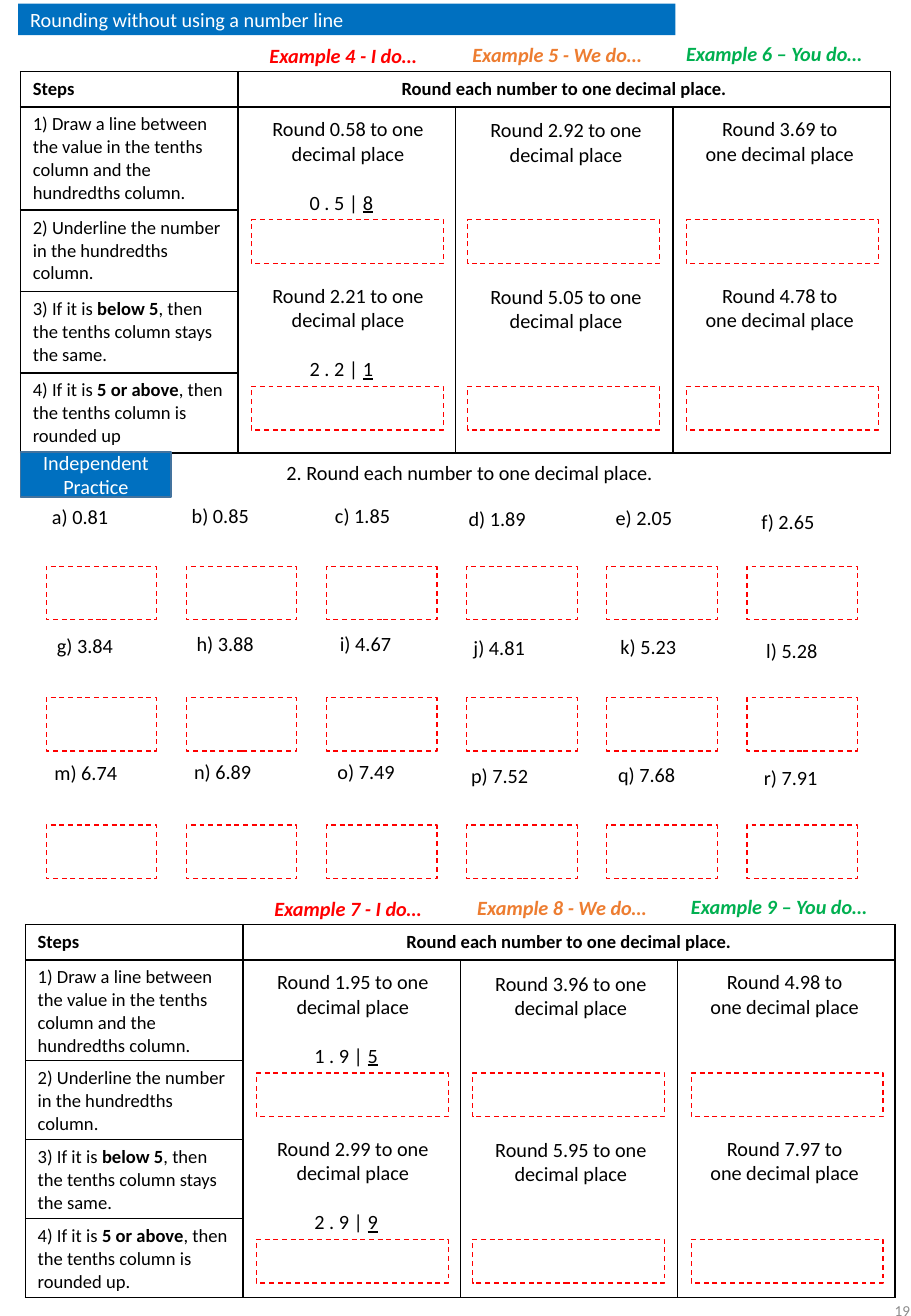
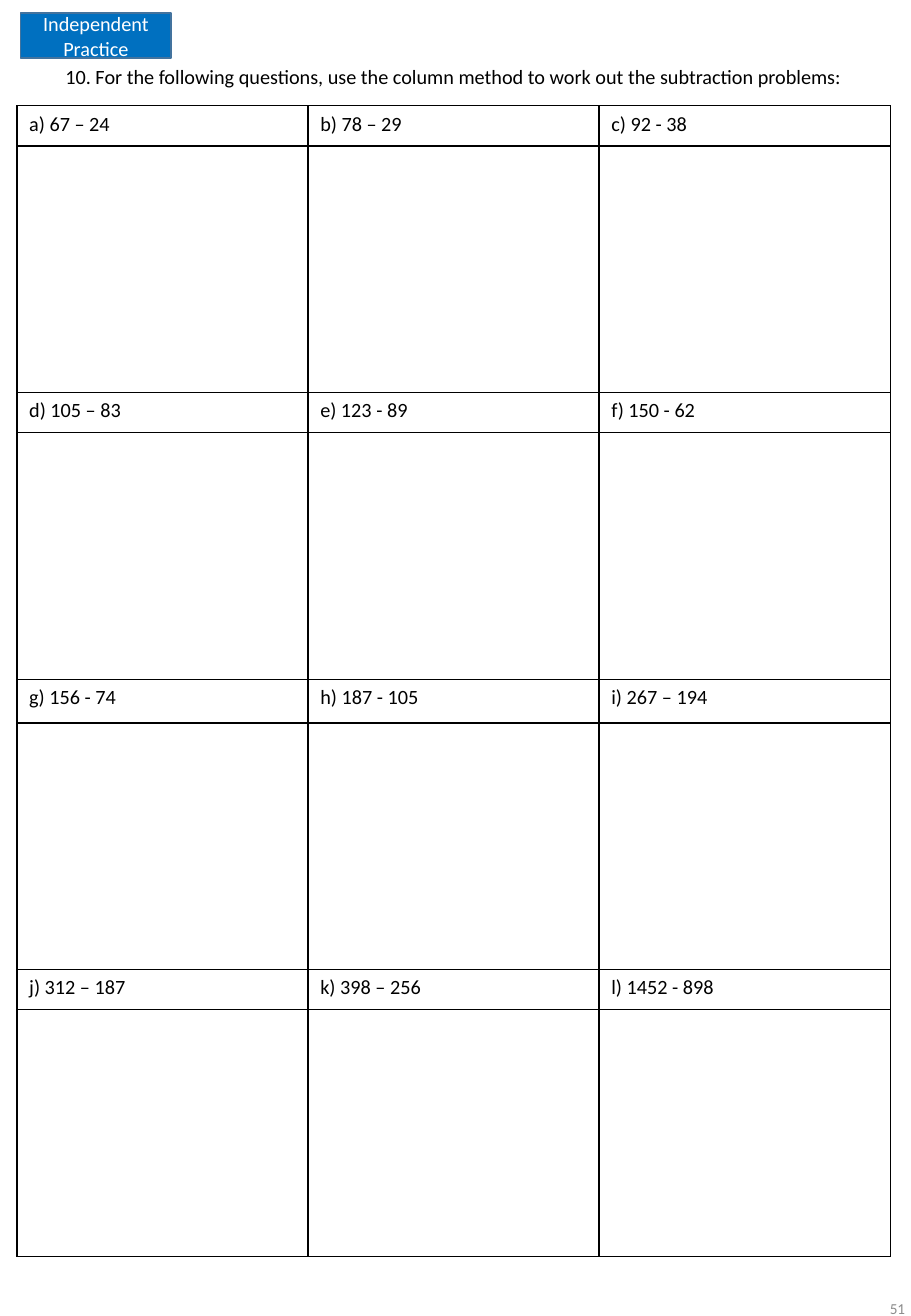
from lxml.etree import SubElement
from pptx import Presentation
from pptx.dml.color import RGBColor
from pptx.enum.dml import MSO_LINE_DASH_STYLE as Dash
from pptx.enum.shapes import MSO_SHAPE as Shape
from pptx.enum.text import MSO_ANCHOR as Anchor, PP_ALIGN as Align
from pptx.oxml.ns import qn
from pptx.util import Inches, Pt

BLACK = RGBColor(0x00, 0x00, 0x00)
WHITE = RGBColor(0xFF, 0xFF, 0xFF)
RED = RGBColor(0xFF, 0x00, 0x00)
ORANGE = RGBColor(0xED, 0x7D, 0x31)
GREEN = RGBColor(0x00, 0xB0, 0x50)
BLUE = RGBColor(0x00, 0x70, 0xC0)
BLUE_EDGE = RGBColor(0x43, 0x73, 0x9E)
GREY = RGBColor(0x8C, 0x8C, 0x8C)
FONT = "Calibri"

STEPS = [
    "1) Draw a line between the value in the tenths column and the hundredths column.",
    "2) Underline the number in the hundredths column.",
    "3) If it is *below 5*, then the tenths column stays the same.",
    "4) If it is *5 or above*, then the tenths column is rounded up",
]
HEADINGS = [
    ("Example {} - I do…", 2.12, 0.31, 1.54, RED),
    ("Example {} - We do…", 3.79, 0.30, 1.82, ORANGE),
    ("Example {} – You do…", 5.55, 0.29, 1.80, GREEN),
]
PROMPTS = [(2.09, 0.91, 1.55), (3.77, 0.92, 1.78), (5.70, 0.91, 1.44)]
ANSWER_LEFTS = [2.07, 3.85, 5.65]
QUESTION_PITCH = 1.37

PRACTICE = [
    (["a) 0.81", "b) 0.85", "c) 1.85", "d) 1.89", "e) 2.05", "f) 2.65"], 0, 4.10, 4.66),
    (["g) 3.84", "h) 3.88", "i) 4.67", "j) 4.81", "k) 5.23", "l) 5.28"], 0.04, 5.16, 5.74),
    (["m) 6.74", "n) 6.89", "o) 7.49", "p) 7.52", "q) 7.68", "r) 7.91"], 0.02, 6.21, 6.79),
]
LABEL_LEFTS = [0.33, 1.48, 2.66, 3.76, 4.97, 6.17]
LABEL_DROPS = [0, -0.01, -0.01, 0.02, 0.01, 0.04]
BOX_LEFT, BOX_PITCH = 0.38, 5.77 / 5

SUBTRACTIONS = [
    ["a) 67 – 24", "b) 78 – 29", "c) 92 - 38"],
    ["d) 105 – 83", "e) 123 - 89", "f) 150 - 62"],
    ["g) 156 - 74", "h) 187 - 105", "i) 267 – 194"],
    ["j) 312 – 187", "k) 398 – 256", "l) 1452 - 898"],
]


def write(p, text, size=12, color=BLACK, bold=False, italic=False,
          align=Align.LEFT, emphasis="bold"):
    p.alignment = align
    for i, part in enumerate(text.split("*")):
        r = p.add_run()
        r.text = part
        font = r.font
        font.name, font.size = FONT, Pt(size)
        font.bold, font.italic = bold, italic
        font.color.rgb = color
        if i % 2:
            setattr(font, emphasis, True)


def add_text(s, text, x, y, w, h=0.3, anchor=Anchor.TOP, **fmt):
    tf = s.shapes.add_textbox(Inches(x), Inches(y), Inches(w), Inches(h)).text_frame
    tf.word_wrap = True
    tf.vertical_anchor = anchor
    write(tf.paragraphs[0], text, **fmt)
    return tf


def add_box(s, x, y, w, h, fill=WHITE, line=None, width=0.75, dash=None):
    sp = s.shapes.add_shape(Shape.RECTANGLE, Inches(x), Inches(y), Inches(w), Inches(h))
    sp.shadow.inherit = False
    sp.fill.solid()
    sp.fill.fore_color.rgb = fill
    if line is None:
        sp.line.fill.background()
    else:
        sp.line.color.rgb = line
        sp.line.width = Pt(width)
        sp.line.dash_style = dash
    return sp


def add_answer(s, x, y, w, h):
    add_box(s, x, y, w, h, line=RED, dash=Dash.DASH)


def add_banner(s, text, x, y, w, h, line=None, align=Align.LEFT):
    tf = add_box(s, x, y, w, h, fill=BLUE, line=line, width=1).text_frame
    tf.word_wrap = True
    tf.vertical_anchor = Anchor.MIDDLE
    write(tf.paragraphs[0], text, color=WHITE, align=align)


def add_practice_badge(s, y):
    add_banner(s, "Independent Practice", 0.17, y, 1.24, 0.37, BLUE_EDGE, Align.CENTER)


def add_page_number(s, number, x, y):
    add_text(s, number, x, y, 1.69, 0.58, anchor=Anchor.MIDDLE,
             size=9, color=GREY, align=Align.RIGHT)


def style_cell(cell, size, sides="LRTB"):
    tc_pr = cell._tc.get_or_add_tcPr()
    for side in "LRTB":
        ln = SubElement(tc_pr, qn(f"a:ln{side}"), w=str(Pt(1)))
        if side in sides:
            fill = SubElement(ln, qn("a:solidFill"))
            SubElement(fill, qn("a:srgbClr"), val=str(BLACK))
        else:
            SubElement(ln, qn("a:noFill"))
    cell.fill.solid()
    cell.fill.fore_color.rgb = WHITE
    cell.margin_bottom = Inches(0.03)
    p = cell.text_frame.paragraphs[0]
    if not p.runs:
        p._p.get_or_add_endParaRPr().set("sz", str(size * 100))


def add_grid(s, x, y, w, columns, heights):
    frame = s.shapes.add_table(len(heights), columns, Inches(x), Inches(y),
                               Inches(w), Inches(sum(heights)))
    table = frame.table
    table.first_row = table.horz_banding = False
    for row, height in zip(table.rows, heights):
        row.height = Inches(height)
    return table


def fill_cell(table, row, column, text, **fmt):
    write(table.cell(row, column).text_frame.paragraphs[0], text, **fmt)


def add_steps_table(s, x, y, heights, ending):
    table = add_grid(s, x, y, 7.16, 4, heights)
    table.cell(0, 1).merge(table.cell(0, 3))
    for column in range(1, 4):
        table.cell(1, column).merge(table.cell(4, column))
    fill_cell(table, 0, 0, "Steps", size=11, bold=True)
    fill_cell(table, 0, 1, "Round each number to one decimal place.",
              size=11, bold=True, align=Align.CENTER)
    for row, step in enumerate(STEPS, 1):
        fill_cell(table, row, 0, step + (ending if row == len(STEPS) else ""), size=11)
    for cell in table.iter_cells():
        style_cell(cell, 11)


def add_prompt(s, number, x, y, w, working):
    tf = add_text(s, f"Round {number} to one decimal place", x, y, w, 0.5,
                  align=Align.CENTER)
    if working:
        p = tf.add_paragraph()
        write(p, working, align=Align.CENTER, emphasis="underline")
        p.space_before = Pt(14.65)
        p._p.get_or_add_pPr().set("marR", str(Inches(0.11)))


def add_examples(s, dx, dy, first, heights, ending, questions):
    add_steps_table(s, 0.17 + dx, 0.59 + dy, heights, ending)
    for i, (title, x, y, w, color) in enumerate(HEADINGS):
        add_text(s, title.format(first + i), x + dx, y + dy, w,
                 color=color, bold=True, italic=True)
    for row, (numbers, working) in enumerate(questions):
        top = dy + row * QUESTION_PITCH
        for i, (x, y, w) in enumerate(PROMPTS):
            add_prompt(s, numbers[i], x + dx, y + top, w, "" if i else working)
            add_answer(s, ANSWER_LEFTS[i] + dx, 1.81 + top, 1.58, 0.36)


def add_practice(s):
    add_text(s, "2. Round each number to one decimal place.", 2.26, 3.74, 3.5)
    for labels, shift, label_top, box_top in PRACTICE:
        for i, label in enumerate(labels):
            add_text(s, label, LABEL_LEFTS[i] + shift, label_top + LABEL_DROPS[i], 0.9)
            add_answer(s, BOX_LEFT + i * BOX_PITCH, box_top, 0.91, 0.44)


def build_rounding(s):
    add_examples(s, 0, 0, 4, [0.29, 0.85, 0.67, 0.67, 0.66], "", [
        (["0.58", "2.92", "3.69"], "0 . 5 | *8*"),
        (["2.21", "5.05", "4.78"], "2 . 2 | *1*"),
    ])
    add_practice(s)
    add_examples(s, 0.04, 7.02, 7, [0.29, 0.83, 0.65, 0.65, 0.65], ".", [
        (["1.95", "3.96", "4.98"], "1 . 9 | *5*"),
        (["2.99", "5.95", "7.97"], "2 . 9 | *9*"),
    ])
    add_page_number(s, "19", 5.9, 10.49)
    add_practice_badge(s, 3.72)
    add_banner(s, "Rounding without using a number line", 0.15, 0.03, 5.41, 0.26)


def build_subtraction(s):
    add_page_number(s, "51", 5.86, 10.48)
    add_practice_badge(s, 0.11)
    heights = [0.38]
    for label_height in (0.33, 0.33, 0.36, 0.33):
        heights += [label_height, 2.03]
    table = add_grid(s, 0.14, 0.49, 7.19, 3, heights)
    table.cell(0, 0).merge(table.cell(0, 2))
    fill_cell(table, 0, 0, "10. For the following questions, use the column method "
              "to work out the subtraction problems:", align=Align.CENTER)
    for i, labels in enumerate(SUBTRACTIONS):
        for column, label in enumerate(labels):
            fill_cell(table, 2 * i + 1, column, label)
    for i, cell in enumerate(table.iter_cells()):
        style_cell(cell, 12, "B" if i < 3 else "LRTB")


def main():
    prs = Presentation()
    prs.slide_width, prs.slide_height = Inches(7.5), Inches(10.83)
    for build in (build_rounding, build_subtraction):
        build(prs.slides.add_slide(prs.slide_layouts[6]))
    prs.save("out.pptx")


if __name__ == "__main__":
    main()
